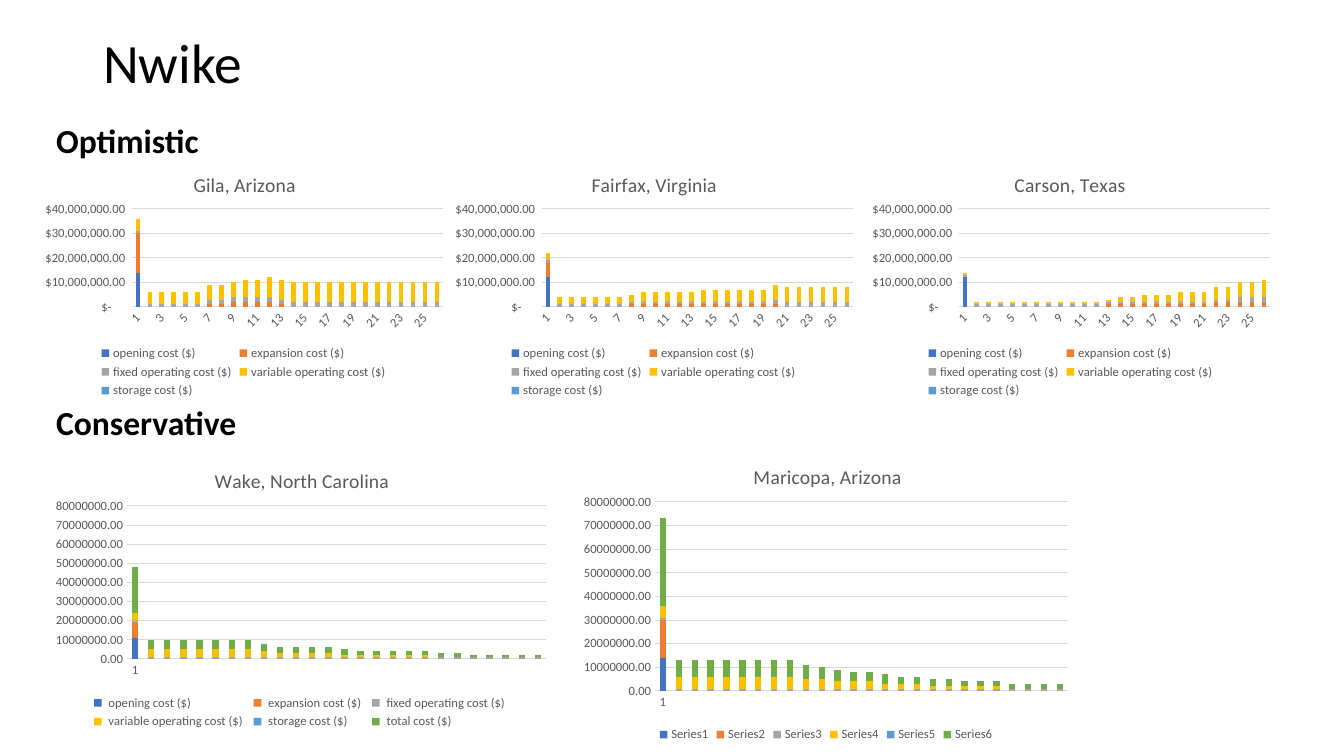
from lxml import etree
from pptx import Presentation
from pptx.chart.data import CategoryChartData
from pptx.dml.color import RGBColor
from pptx.enum.chart import XL_CHART_TYPE as ChartType, XL_LEGEND_POSITION as LegendAt, XL_TICK_MARK as Tick
from pptx.enum.text import MSO_ANCHOR as Anchor, MSO_AUTO_SIZE as AutoSize, PP_ALIGN as Align
from pptx.oxml.ns import qn
from pptx.util import Pt

PX = 914400 / 100.8
FONT = "Calibri"
BLACK = RGBColor(0x00, 0x00, 0x00)
GREY = RGBColor(0x59, 0x59, 0x59)
RULE = RGBColor(0xD9, 0xD9, 0xD9)
COST_COLOURS = [
    RGBColor(0x44, 0x72, 0xC4), RGBColor(0xED, 0x7D, 0x31), RGBColor(0xA5, 0xA5, 0xA5),
    RGBColor(0xFF, 0xC0, 0x00), RGBColor(0x5B, 0x9B, 0xD5), RGBColor(0x70, 0xAD, 0x47),
]

YEARS = 26
MILLION = 1_000_000
DOLLARS = '_("$"* #,##0.00_);_("$"* \\(#,##0.00\\);_("$"* "-"??_);_(@_)'
COSTS = ["opening cost ($)", "expansion cost ($)", "fixed operating cost ($)",
         "variable operating cost ($)", "storage cost ($)"]
PADDED_COSTS = [f" {cost} " for cost in COSTS + ["total cost ($)"]]

# Each cost is a list of (millions, number of years)
NO_COST = [(0, YEARS)]
OPTIMISTIC = [
    ("Gila, Arizona", 155, [
        [(14, 1), (0, 25)],
        [(16, 1), (0, 5), (1, 2), (2, 4), (1, 1), (0, 13)],
        [(1, 6), (2, 20)],
        [(5, 6), (6, 3), (7, 2), (8, 15)],
        NO_COST]),
    ("Fairfax, Virginia", 143, [
        [(12, 1), (0, 25)],
        [(6, 1), (0, 6), (1, 13), (0, 6)],
        [(1, 19), (2, 7)],
        [(3, 8), (4, 5), (5, 6), (6, 7)],
        NO_COST]),
    ("Carson, Texas", 149, [
        [(12, 1), (0, 25)],
        [(0, 12), (1, 9), (2, 5)],
        [(1, 23), (2, 3)],
        [(1, 13), (2, 2), (3, 3), (4, 3), (5, 2), (6, 2), (7, 1)],
        NO_COST]),
]
WAKE = ("Wake, North Carolina", 165, [
    [(11, 1)],
    [(8, 1)],
    [(1, YEARS)],
    [(4, 8), (3, 1), (2, 4), (1, 6), (0, 7)],
    [(0, 7)],
    [(24, 1), (5, 7), (4, 1), (3, 5), (2, 7), (1, 5)]])
MARICOPA = ("Maricopa, Arizona", 176, [
    [(14, 1)],
    [(16, 1)],
    [(1, YEARS)],
    [(5, 9), (4, 2), (3, 3), (2, 3), (1, 5), (0, 4)],
    [(0, 8)],
    [(37, 1), (7, 8), (6, 1), (5, 2), (4, 3), (3, 4), (2, 7)]])


def px(length):
    return round(length * PX)


def yearly(runs):
    values = [millions * MILLION for millions, years in runs for _ in range(years)]
    return values + [None] * (YEARS - len(values))


def style(font, size, colour, bold=False):
    font.name, font.size, font.bold = FONT, Pt(size), bold
    font.color.rgb = colour


def heading(holder, box, text, size, anchor, bold=False, before=0):
    holder.left, holder.top, holder.width, holder.height = map(px, box)
    frame = holder.text_frame
    frame.auto_size = AutoSize.NONE
    frame.word_wrap = True
    frame.vertical_anchor = anchor
    line = frame.paragraphs[0]
    line.alignment = Align.LEFT
    line.line_spacing = 0.9
    line.space_before = Pt(before)
    run = line.add_run()
    run.text = text
    style(run.font, size, BLACK, bold)


def set_layout(parent, index, settings):
    """Give a chart part a manual place, as fractions of the chart."""
    for old in parent.findall(qn("c:layout")):
        parent.remove(old)
    layout = etree.Element(qn("c:layout"))
    manual = etree.SubElement(layout, qn("c:manualLayout"))
    for tag, value in settings.items():
        etree.SubElement(manual, qn(f"c:{tag}")).set("val", str(value))
    parent.insert(index, layout)


def cost_chart(slide, box, plot, county, names, top_value, number_format):
    title, title_left, costs = county
    width, height = box[2:]
    data = CategoryChartData()
    data.categories = [str(year) for year in range(1, YEARS + 1)]
    for name, runs in zip(names, costs):
        data.add_series(name, yearly(runs))
    chart = slide.shapes.add_chart(ChartType.COLUMN_STACKED, *map(px, box), data).chart
    style(chart.font, 10, BLACK)

    # Title and legend
    run = chart.chart_title.text_frame.paragraphs[0].add_run()
    run.text = title
    style(run.font, 14, GREY)
    chart.chart_title.include_in_layout = False
    chart.has_legend = True
    chart.legend.position = LegendAt.BOTTOM
    chart.legend.include_in_layout = False
    style(chart.legend.font, 9, GREY)

    # Axes
    years, dollars = chart.category_axis, chart.value_axis
    for axis in (years, dollars):
        axis.major_tick_mark = axis.minor_tick_mark = Tick.NONE
        style(axis.tick_labels.font, 9, GREY)
    dollars.minimum_scale = 0
    dollars.maximum_scale = top_value * MILLION
    dollars.major_unit = 10 * MILLION
    dollars.tick_labels.number_format = number_format
    dollars.tick_labels.number_format_is_linked = False
    dollars.format.line.fill.background()
    dollars.has_major_gridlines = True
    for line in (years.format.line, dollars.major_gridlines.format.line):
        line.color.rgb = RULE
        line.width = Pt(0.75)

    # Stacked bars
    bars = chart.plots[0]
    bars.gap_width, bars.overlap, bars.vary_by_categories = 150, 100, False
    for series, colour in zip(bars.series, COST_COLOURS):
        series.invert_if_negative = False
        series.format.fill.solid()
        series.format.fill.fore_color.rgb = colour

    # Places inside the chart
    x, y, w, h = plot
    set_layout(chart.element.find(".//" + qn("c:title")), 1, {
        "xMode": "edge", "yMode": "edge",
        "x": round(title_left / width, 4), "y": round(16 / height, 4)})
    set_layout(chart.element.find(".//" + qn("c:plotArea")), 0, {
        "layoutTarget": "inner", "xMode": "edge", "yMode": "edge",
        "x": round(x / width, 4), "y": round(y / height, 4),
        "w": round(w / width, 4), "h": round(h / height, 4)})
    return chart


def drop_from_series(chart, tag):
    """Let the chart number its own categories or series."""
    for part in chart.element.xpath(f".//c:ser/c:{tag}"):
        part.getparent().remove(part)


def optimistic_region(slide, holder, left, top):
    heading(holder, (left + 11, top - 77, 572, 91), "Optimistic", 24, Anchor.BOTTOM, True, 10)
    for offset, county in zip((0, 410, 827), OPTIMISTIC):
        chart = cost_chart(slide, (left + offset, top, 417, 250), (97, 57, 311, 98),
                           county, COSTS, 40, DOLLARS)
        for body in chart.element.xpath(".//c:catAx/c:txPr/a:bodyPr"):
            body.set("rot", "-2700000")


def conservative_region(slide, holder, left, top):
    heading(holder, (left, top - 91, 569, 91), "Conservative", 24, Anchor.BOTTOM, True, 10)
    wake = cost_chart(slide, (left, top, 510, 285), (81, 58, 419, 153),
                      WAKE, PADDED_COSTS, 80, "0.00")
    maricopa = cost_chart(slide, (left + 528, top - 4, 504, 302), (81, 58, 413, 189),
                          MARICOPA, PADDED_COSTS, 80, "0.00")
    for chart in (wake, maricopa):
        drop_from_series(chart, "cat")
    drop_from_series(maricopa, "tx")


def main():
    deck = Presentation()
    deck.slide_width, deck.slide_height = px(1344), px(756)
    slide = deck.slides.add_slide(deck.slide_layouts[4])
    title, upper, upper_content, lower, lower_content = slide.placeholders
    for unused in (upper_content, lower_content):
        unused.element.getparent().remove(unused.element)

    heading(title, (93, 40, 1159, 51), "Nwike", 39.6, Anchor.MIDDLE)
    optimistic_region(slide, upper, 35, 152)
    conservative_region(slide, lower, 46, 448)
    deck.save("out.pptx")


if __name__ == "__main__":
    main()
